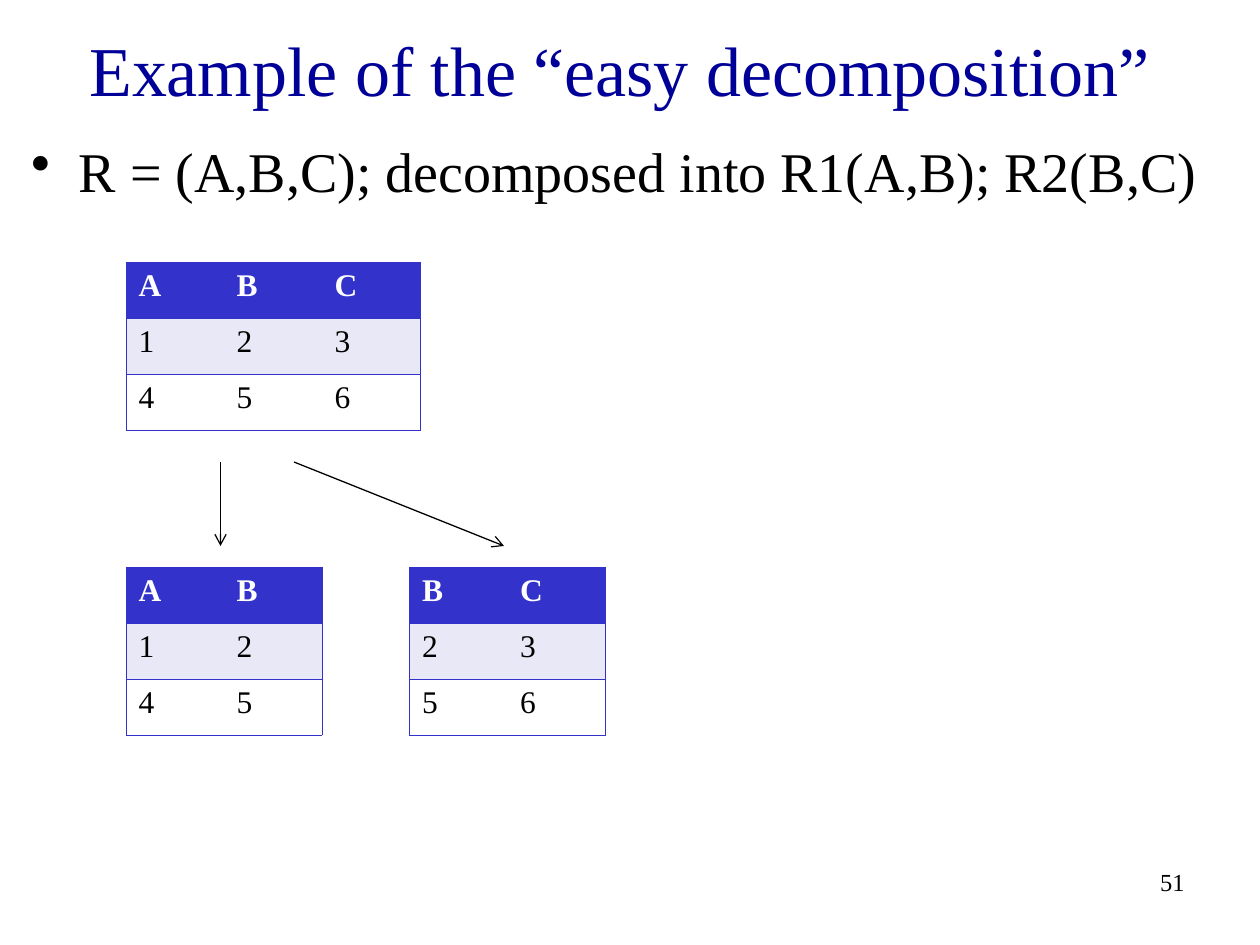
from lxml.etree import SubElement
from pptx import Presentation
from pptx.dml.color import RGBColor
from pptx.enum.shapes import MSO_CONNECTOR
from pptx.enum.text import MSO_ANCHOR, PP_ALIGN
from pptx.oxml.ns import qn
from pptx.util import Inches, Pt

NAVY = RGBColor(0x00, 0x00, 0x99)
BLUE = RGBColor(0x33, 0x33, 0xCC)
PALE = RGBColor(0xE8, 0xE8, 0xF6)
WHITE = RGBColor(0xFF, 0xFF, 0xFF)
BLACK = RGBColor(0x00, 0x00, 0x00)


class SlideBuilder:
    """Draws on a grid of 120 columns by 90 rows."""

    font = "Times New Roman"
    cell_width, cell_height = 28 / 3, 16 / 3
    border_width = Pt(0.45)

    def __init__(self, deck):
        self.page = deck.slides.add_slide(deck.slide_layouts[6])
        self.column = deck.slide_width / 120
        self.row = deck.slide_height / 90

    def place(self, left, top, width, height):
        return (round(left * self.column), round(top * self.row),
                round(width * self.column), round(height * self.row))

    def add_span(self, para, words, size, color, bold=False):
        span = para.add_run()
        span.text = words
        style = {"name": self.font, "size": Pt(size), "bold": bold}
        for name, value in style.items():
            setattr(span.font, name, value)
        span.font.color.rgb = color

    def text(self, area, words, size, color, align=PP_ALIGN.LEFT,
             anchor=MSO_ANCHOR.TOP, insets=(0.1, 0.05)):
        frame = self.page.shapes.add_textbox(*self.place(*area)).text_frame
        side, edge = map(Inches, insets)
        layout = {"word_wrap": True, "vertical_anchor": anchor,
                  "margin_left": side, "margin_right": side,
                  "margin_top": edge, "margin_bottom": edge}
        for name, value in layout.items():
            setattr(frame, name, value)
        para = frame.paragraphs[0]
        para.alignment = align
        self.add_span(para, words, size, color)
        return para

    def bullet(self, area, words, size, color):
        para = self.text(area, words, size, color, insets=(0.08, 0))
        para.space_before = Pt(8)
        properties = para._p.get_or_add_pPr()
        properties.set("marL", str(Inches(0.38)))
        properties.set("indent", str(-Inches(0.38)))
        SubElement(properties, qn("a:buChar"), char="•")

    def border(self, cell, sides):
        properties = cell._tc.get_or_add_tcPr()
        for position, side in enumerate(("L", "R", "T", "B")):
            line = properties.makeelement(qn(f"a:ln{side}"))
            properties.insert(position, line)
            if side in sides:
                line.set("w", str(self.border_width))
                fill = SubElement(line, qn("a:solidFill"))
                SubElement(fill, qn("a:srgbClr"), val=str(BLUE))
            else:
                SubElement(line, qn("a:noFill"))

    def table(self, left, top, rows):
        count = len(rows[0])
        area = self.place(left, top, count * self.cell_width,
                          len(rows) * self.cell_height)
        table = self.page.shapes.add_table(len(rows), count, *area).table
        for r, values in enumerate(rows):
            header = r == 0
            fill = BLUE if header else (WHITE, PALE)[r % 2]
            for c, value in enumerate(values):
                cell = table.cell(r, c)
                cell.fill.solid()
                cell.fill.fore_color.rgb = fill
                self.add_span(cell.text_frame.paragraphs[0], value, 18,
                              WHITE if header else BLACK, header)
                # Outer frame and horizontal rules only
                sides = "TB" + "L" * (c == 0) + "R" * (c == count - 1)
                self.border(cell, sides)

    def arrow(self, start, end):
        line = self.page.shapes.add_connector(
            MSO_CONNECTOR.STRAIGHT, *self.place(*start, *end))
        line.line.width = Pt(0.75)
        line.line.color.rgb = BLACK
        SubElement(line.line._get_or_add_ln(), qn("a:tailEnd"), type="arrow")
        SubElement(line._element.spPr, qn("a:effectLst"))


def main():
    deck = Presentation()
    deck.slide_width, deck.slide_height = Inches(10), Inches(7.5)
    slide = SlideBuilder(deck)

    # Heading, statement and page number
    slide.text((2, 2, 114, 9), "Example of the “easy decomposition”", 40, NAVY,
               PP_ALIGN.CENTER, MSO_ANCHOR.MIDDLE, (0, 0))
    slide.bullet((2, 13, 114, 71),
                 "R = (A,B,C); decomposed into R1(A,B); R2(B,C)", 32, BLACK)
    slide.text((89, 82, 25, 6), "51", 14, BLACK, PP_ALIGN.RIGHT)

    # Relation R and its two projections
    relation = ["ABC", "123", "456"]
    slide.table(12, 25, relation)
    slide.table(12, 54, [row[:2] for row in relation])
    slide.table(39, 54, [row[1:] for row in relation])

    # Arrows from R to R1 and R2
    slide.arrow((21, 44), (21, 52))
    slide.arrow((28, 44), (48, 52))

    deck.save("out.pptx")


if __name__ == "__main__":
    main()
